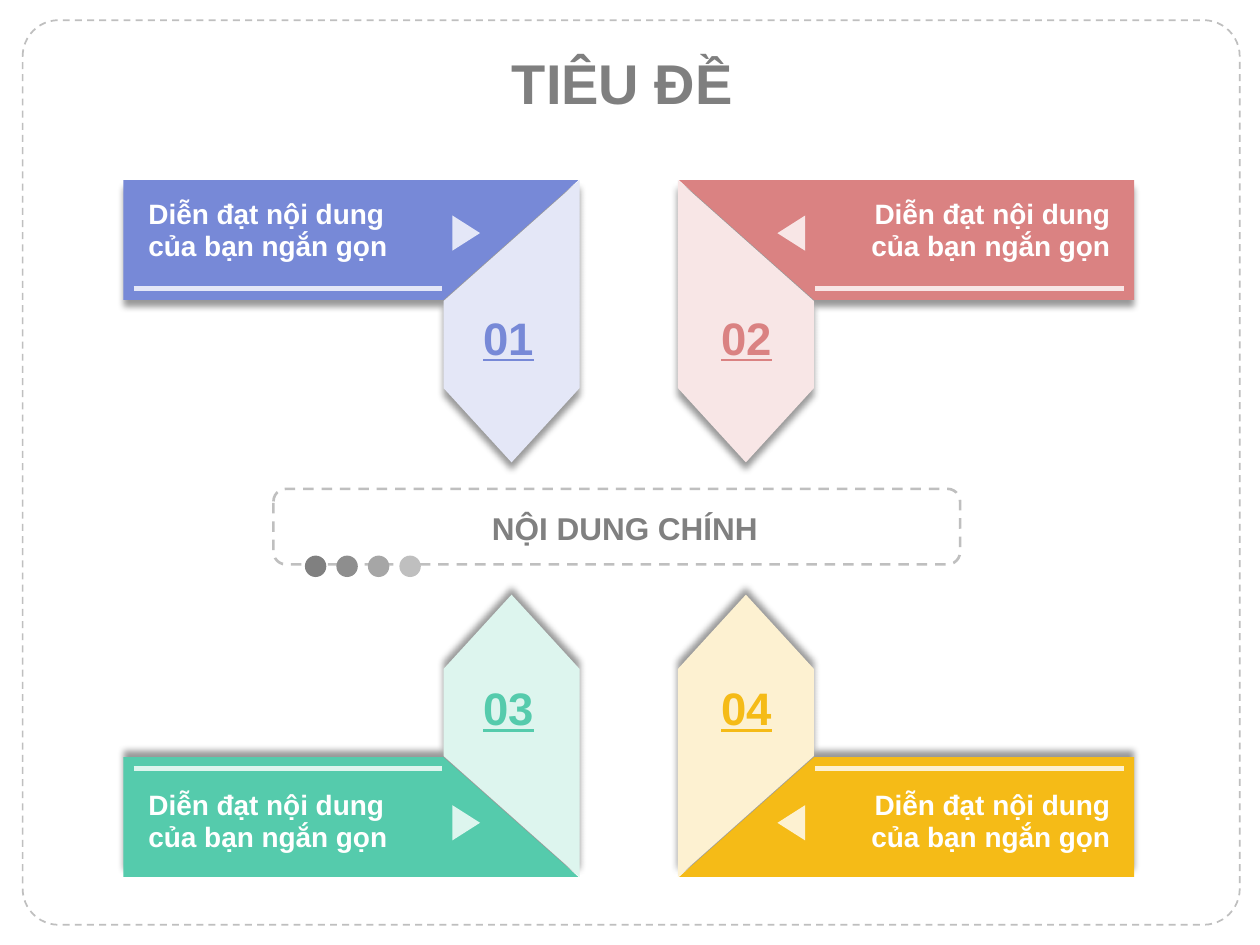
from dataclasses import dataclass

from lxml.etree import SubElement
from pptx import Presentation
from pptx.dml.color import RGBColor
from pptx.enum.dml import MSO_LINE_DASH_STYLE as Dash
from pptx.enum.shapes import MSO_CONNECTOR as Link, MSO_SHAPE as Kind
from pptx.enum.text import MSO_ANCHOR as Anchor, MSO_AUTO_SIZE as Auto, PP_ALIGN as Align
from pptx.oxml.ns import qn
from pptx.util import Inches, Pt

COLS, ROWS = 100, 75
CELL = Inches(0.1)
SPAN_X, SPAN_Y = 99.8, 83.9
FONT = "Arial"
BODY = "Diễn đạt nội dung của bạn ngắn gọn"

WHITE = RGBColor(0xFF, 0xFF, 0xFF)
GREY = RGBColor(0x7F, 0x7F, 0x7F)
MID = RGBColor(0x80, 0x80, 0x80)
ASH = RGBColor(0x8E, 0x8E, 0x8E)
STONE = RGBColor(0xA6, 0xA6, 0xA6)
SILVER = RGBColor(0xBF, 0xBF, 0xBF)
BLUE = RGBColor(0x77, 0x89, 0xD7)
PALE_BLUE = RGBColor(0xE4, 0xE7, 0xF7)
RED = RGBColor(0xDA, 0x82, 0x82)
PALE_RED = RGBColor(0xF8, 0xE6, 0xE6)
GREEN = RGBColor(0x55, 0xCB, 0xAC)
PALE_GREEN = RGBColor(0xDD, 0xF5, 0xEE)
GOLD = RGBColor(0xF5, 0xBB, 0x17)
PALE_GOLD = RGBColor(0xFD, 0xF1, 0xD1)

BANNER = [(9.8, 23.8), (35.2, 23.8), (45.9, 14.3), (9.8, 14.3)]
ARROW = [(46, 14.3), (35.2, 23.9), (35.2, 30.8), (40.6, 36.7), (46, 30.8)]


@dataclass(frozen=True)
class Box:
    col: float
    row: float
    wide: float
    high: float

    def emu(self) -> list[int]:
        return [grid(n) for n in (self.col, self.row, self.wide, self.high)]


@dataclass(frozen=True)
class Style:
    size: int
    color: RGBColor
    align: Align = Align.CENTER
    wrap: bool = True
    loose: bool = False
    under: bool = False
    anchor: Anchor = Anchor.TOP


@dataclass(frozen=True)
class Card:
    label: str
    dark: RGBColor
    pale: RGBColor
    right: bool
    low: bool

    def spot(self, col: float, row: float) -> tuple[int, int]:
        return (grid(SPAN_X - col if self.right else col),
                grid(SPAN_Y - row if self.low else row))


CARDS = [
    Card("01", BLUE, PALE_BLUE, False, False),
    Card("02", RED, PALE_RED, True, False),
    Card("03", GREEN, PALE_GREEN, False, True),
    Card("04", GOLD, PALE_GOLD, True, True),
]


def grid(cells: float) -> int:
    return round(cells * CELL)


def add_text(shapes, box: Box, text: str, style: Style) -> None:
    frame = shapes.add_textbox(*box.emu()).text_frame
    frame.word_wrap = style.wrap
    frame.auto_size = Auto.SHAPE_TO_FIT_TEXT
    frame.vertical_anchor = style.anchor
    para = frame.paragraphs[0]
    para.text = text
    para.alignment = style.align
    if style.loose:
        para.line_spacing = 0.95
        para.space_after = Pt(8)
    font = para.font
    font.name, font.size, font.bold = FONT, Pt(style.size), True
    font.underline = style.under
    font.color.rgb = style.color


def add_solid(shapes, kind: Kind, box: Box, color: RGBColor):
    shape = shapes.add_shape(kind, *box.emu())
    shape.shadow.inherit = False
    shape.fill.solid()
    shape.fill.fore_color.rgb = color
    shape.line.fill.background()
    return shape


def add_frame(shapes, box: Box, width: float):
    shape = add_solid(shapes, Kind.ROUNDED_RECTANGLE, box, WHITE)
    shape.line.color.rgb = SILVER
    shape.line.width = Pt(width)
    shape.line.dash_style = Dash.DASH
    return shape


def add_panel(shapes, card: Card, spots: list, color: RGBColor) -> None:
    first, *rest = [card.spot(*spot) for spot in spots]
    pen = shapes.build_freeform(*first)
    pen.add_line_segments(rest, close=True)
    shape = pen.convert_to_shape()
    shape.shadow.inherit = False
    shape.fill.solid()
    shape.fill.fore_color.rgb = color
    shape.line.fill.background()
    effect = shape.element.spPr.find(qn("a:effectLst"))
    shade = SubElement(effect, qn("a:outerShdw"), blurRad=str(Pt(4)), dist=str(Pt(4)),
                       dir=str((270 if card.low else 90) * 60000), algn="ctr",
                       rotWithShape="0")
    black = SubElement(shade, qn("a:srgbClr"), val="000000")
    SubElement(black, qn("a:alpha"), val="40000")


def add_card(shapes, card: Card) -> None:
    add_panel(shapes, card, BANNER, card.dark)
    add_panel(shapes, card, ARROW, card.pale)

    left = 61.4 if card.right else 35.6
    mark = add_solid(shapes, Kind.ISOSCELES_TRIANGLE,
                     Box(left, 64.2 if card.low else 17.4, 2.8, 2.2), card.pale)
    mark.rotation = 270 if card.right else 90

    rule = shapes.add_connector(Link.STRAIGHT, *card.spot(10.6, 22.9), *card.spot(35.1, 22.9))
    rule.line.color.rgb = card.pale
    rule.line.width = Pt(3)
    SubElement(rule.element.spPr, qn("a:effectLst"))

    side = Align.RIGHT if card.right else Align.LEFT
    add_text(shapes, Box(64.4 if card.right else 10.8, 62.2 if card.low else 15.3, 24.7, 6.1),
             BODY, Style(16, WHITE, side, loose=True))
    add_text(shapes, Box(56.2 if card.right else 37.3, 53.5 if card.low else 24.1, 6.1, 5.4),
             card.label, Style(26, card.dark, wrap=False, under=True))


def main() -> None:
    deck = Presentation()
    deck.slide_width, deck.slide_height = grid(COLS), grid(ROWS)
    shapes = deck.slides.add_slide(deck.slide_layouts[6]).shapes

    add_frame(shapes, Box(1.8, 1.6, 96.6, 71.8), 1).adjustments[0] = 0.04
    add_text(shapes, Box(8.2, 3.3, 82.4, 6.4), "TIÊU ĐỀ",
             Style(32, GREY, wrap=False, anchor=Anchor.MIDDLE))
    add_frame(shapes, Box(21.7, 38.8, 54.5, 6), 1.5)
    for card in CARDS:
        add_card(shapes, card)
    for step, color in enumerate((MID, ASH, STONE, SILVER)):
        add_solid(shapes, Kind.OVAL, Box(24.2 + 2.5 * step, 44.1, 1.7, 1.7), color)
    add_text(shapes, Box(24.6, 40.1, 50, 3.9), "NỘI DUNG CHÍNH", Style(18, MID, loose=True))

    deck.save("out.pptx")


if __name__ == "__main__":
    main()
